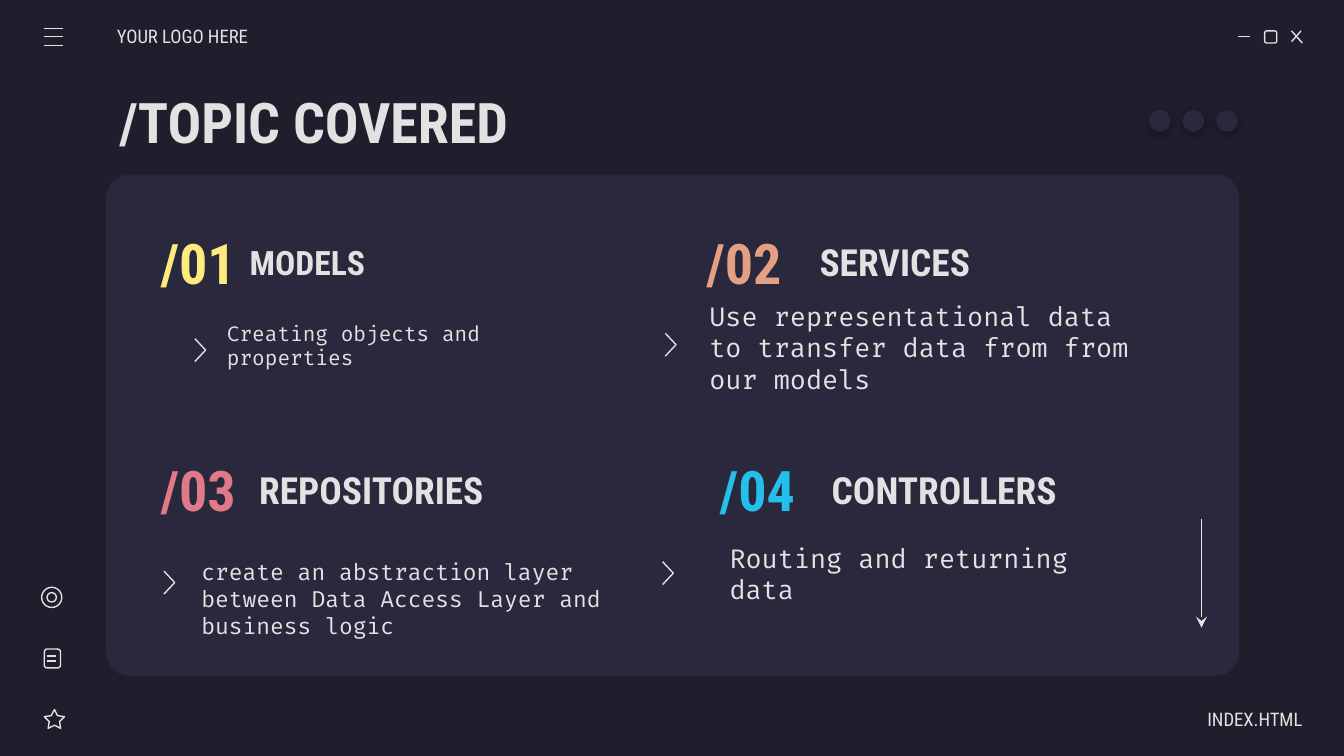
"""Build the topic overview slide with four numbered sections."""
from pptx import Presentation
from pptx.dml.color import RGBColor
from pptx.enum.shapes import MSO_CONNECTOR, MSO_SHAPE
from pptx.enum.text import MSO_ANCHOR, PP_ALIGN
from pptx.oxml import parse_xml
from pptx.oxml.ns import nsdecls
from pptx.util import Inches, Pt

STRAIGHT = MSO_CONNECTOR.STRAIGHT
ROUNDED = MSO_SHAPE.ROUNDED_RECTANGLE
OVAL = MSO_SHAPE.OVAL
STAR = MSO_SHAPE.STAR_5_POINT
MIDDLE = MSO_ANCHOR.MIDDLE
LEFT, CENTER, RIGHT = PP_ALIGN.LEFT, PP_ALIGN.CENTER, PP_ALIGN.RIGHT

THEME = {
    "background": "1E1E2C", "panel": "29283D", "light": "E2E2E2", "shadow": "000000",
    "yellow": "FFEA7D", "orange": "E5A083", "pink": "E07A88", "cyan": "24BFEB",
    "heading_font": "Roboto Condensed", "body_font": "Fira Code",
    "title": 30, "label": 10, "line": 0.75,
}

ROW_TOPS = (1.67, 3.36)
SECTIONS = [
    {"row": 0, "number": "/01", "color": "yellow", "number_left": 1.02,
     "name": "MODELS", "name_left": 1.76, "name_width": 2.97, "name_size": 18,
     "text": "Creating objects and properties",
     "text_box": (1.59, 2.25, 2.31, 0.64), "text_size": 11, "chevron": (1.45, 2.52)},
    {"row": 0, "number": "/02", "color": "orange", "number_left": 5.08,
     "name": "SERVICES", "name_left": 6, "name_width": 2.56, "name_size": 20,
     "text": "Use representational data to transfer data from from our models",
     "text_box": (5.18, 2.21, 3.37, 0.75), "text_size": 14, "chevron": (4.95, 2.48)},
    {"row": 1, "number": "/03", "color": "pink", "number_left": 1.02,
     "name": "REPOSITORIES", "name_left": 1.83, "name_width": 2.56, "name_size": 20,
     "text": "create an abstraction layer between Data Access Layer and business logic",
     "text_box": (1.4, 3.93, 3.51, 1.05), "text_size": 12, "chevron": (1.22, 4.25)},
    {"row": 1, "number": "/04", "color": "cyan", "number_left": 5.18,
     "name": "CONTROLLERS", "name_left": 6.09, "name_width": 2.97, "name_size": 20,
     "text": "Routing and returning data",
     "text_box": (5.33, 3.89, 2.97, 0.75), "text_size": 14, "chevron": (4.93, 4.18)},
]

WINDOW_LINES = [(9.21, 0.27, 9.3, 0.27), (9.61, 0.23, 9.69, 0.32), (9.68, 0.23, 9.61, 0.31)]
MENU_LINES = [(0.33, y, 0.47, y) for y in (0.21, 0.27, 0.34)]
NOTE_LINES = [(0.35, y, 0.42, y) for y in (4.88, 4.92)]
ICON_OUTLINES = [
    (ROUNDED, (9.41, 0.23, 0.09, 0.09), 0.167),
    (STAR, (0.33, 5.28, 0.15, 0.14), 0.254),
    (ROUNDED, (0.33, 4.83, 0.12, 0.14), 0.167),
    (OVAL, (0.31, 4.37, 0.15, 0.15), None),
    (OVAL, (0.35, 4.41, 0.07, 0.07), None),
]
DOT_LEFT, DOT_STEP, DOT_TOP, DOT_SIZE = 8.55, 0.25, 0.82, 0.16


def rgb(name):
    return RGBColor.from_string(THEME[name])


def style_line(line):
    line.color.rgb = rgb("light")
    line.width = Pt(THEME["line"])


def add_text(s, box, text, size, font="heading_font", color="light", bold=True,
             align=LEFT, left=0.1, right=0.1):
    tf = s.shapes.add_textbox(*map(Inches, box)).text_frame
    tf.word_wrap = True
    tf.vertical_anchor = MIDDLE
    tf.margin_left, tf.margin_right = Inches(left), Inches(right)
    tf.margin_top = tf.margin_bottom = Inches(0.1)
    p = tf.paragraphs[0]
    p.alignment = align
    r = p.add_run()
    r.text = text
    r.font.name = THEME[font]
    r.font.size = Pt(size)
    r.font.bold = bold
    r.font.color.rgb = rgb(color)


def add_shape(s, kind, box, fill=None, adjust=None):
    sp = s.shapes.add_shape(kind, *map(Inches, box))
    sp.shadow.inherit = False
    if adjust is not None:
        sp.adjustments[0] = adjust
    if fill:
        sp.fill.solid()
        sp.fill.fore_color.rgb = rgb(fill)
        sp.line.fill.background()
    else:
        sp.fill.background()
        style_line(sp.line)
    return sp


def add_line(s, ends, arrow=False):
    line = s.shapes.add_connector(STRAIGHT, *map(Inches, ends))
    style_line(line.line)
    if arrow:
        line.line._get_or_add_ln().append(
            parse_xml(f'<a:tailEnd {nsdecls("a")} type="stealth" w="med" len="med"/>'))
    line._element.spPr.append(parse_xml(f'<a:effectLst {nsdecls("a")}/>'))


def add_chevron(s, left, top, width=0.08, height=0.17):
    builder = s.shapes.build_freeform(Inches(left), Inches(top))
    points = [(left + width, top + height / 2), (left, top + height)]
    builder.add_line_segments([(Inches(x), Inches(y)) for x, y in points], close=False)
    sp = builder.convert_to_shape()
    sp.shadow.inherit = False
    sp.fill.background()
    style_line(sp.line)


def add_dot(s, left):
    sp = add_shape(s, OVAL, (left, DOT_TOP, DOT_SIZE, DOT_SIZE), fill="panel")
    effects = sp._element.spPr.find("{*}effectLst")
    effects.append(parse_xml(
        f'<a:outerShdw {nsdecls("a")} blurRad="{Pt(4.5)}" dist="{Pt(1.5)}" dir="5400000" '
        f'algn="bl" rotWithShape="0"><a:srgbClr val="{THEME["shadow"]}">'
        '<a:alpha val="30000"/></a:srgbClr></a:outerShdw>'))


def add_section(s, section):
    top = ROW_TOPS[section["row"]]
    add_text(s, (section["name_left"], top, section["name_width"], 0.56),
             section["name"], section["name_size"])
    add_text(s, (section["number_left"], top, 0.91, 0.56), section["number"],
             THEME["title"], color=section["color"], align=CENTER)
    add_text(s, section["text_box"], section["text"], section["text_size"],
             font="body_font", bold=False)
    add_chevron(s, *section["chevron"])


def main():
    prs = Presentation()
    prs.slide_width = Inches(10)
    prs.slide_height = prs.slide_width * 9 // 16
    s = prs.slides.add_slide(prs.slide_layouts[6])
    s.background.fill.solid()
    s.background.fill.fore_color.rgb = rgb("background")

    add_shape(s, ROUNDED, (0.79, 1.3, 8.43, 3.73), fill="panel", adjust=0.047)
    for section in SECTIONS:
        add_section(s, section)
    add_text(s, (0.79, 0.59, 8.43, 0.63), "/TOPIC COVERED", THEME["title"])
    add_text(s, (0.87, 0.12, 1.17, 0.3), "YOUR LOGO HERE", THEME["label"], bold=False, left=0)
    add_text(s, (8.52, 5.2, 1.17, 0.3), "INDEX.HTML", THEME["label"], bold=False,
             align=RIGHT, right=0)
    for kind, box, adjust in ICON_OUTLINES:
        add_shape(s, kind, box, adjust=adjust)
    for ends in WINDOW_LINES + MENU_LINES + NOTE_LINES:
        add_line(s, ends)
    add_line(s, (8.94, 3.86, 8.94, 4.67), arrow=True)
    for i in range(3):
        add_dot(s, DOT_LEFT + i * DOT_STEP)
    prs.save("out.pptx")


if __name__ == "__main__":
    main()
